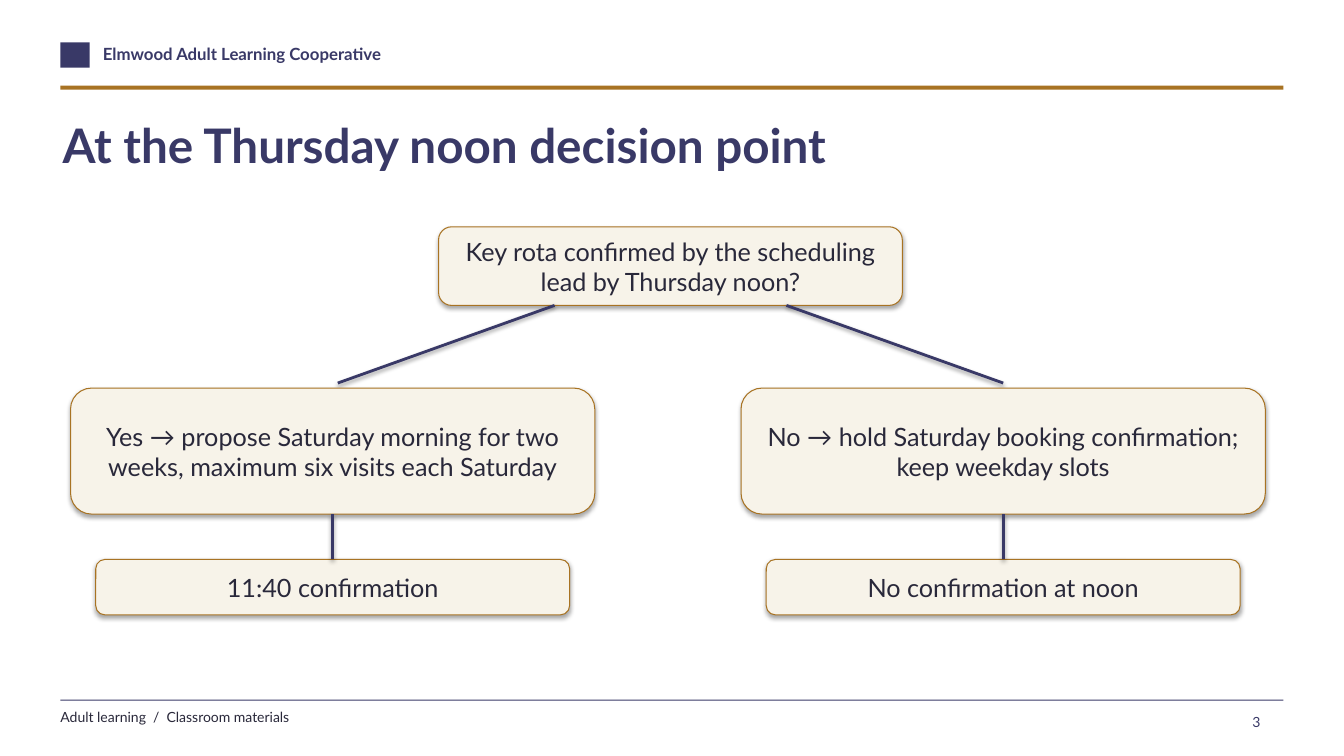
from pptx import Presentation
from pptx.dml.color import RGBColor
from pptx.enum.shapes import MSO_CONNECTOR, MSO_SHAPE
from pptx.enum.text import MSO_ANCHOR, MSO_AUTO_SIZE, PP_ALIGN
from pptx.util import Pt

RECT, ROUNDED = MSO_SHAPE.RECTANGLE, MSO_SHAPE.ROUNDED_RECTANGLE
STRAIGHT = MSO_CONNECTOR.STRAIGHT
LEFT, CENTER, RIGHT = PP_ALIGN.LEFT, PP_ALIGN.CENTER, PP_ALIGN.RIGHT
TOP, MIDDLE = MSO_ANCHOR.TOP, MSO_ANCHOR.MIDDLE
TOP_SIDE, BOTTOM_SIDE = 0, 2

TITLE = "At the Thursday noon decision point"
ORGANISATION = "Elmwood Adult Learning Cooperative"
FOOTER = "Adult learning  /  Classroom materials"
PAGE_NUMBER = "3"
QUESTION = "Key rota confirmed by the scheduling lead by Thursday noon?"
# centre x, answer, outcome
BRANCHES = [
    (330, "Yes → propose Saturday morning for two weeks, maximum six visits each Saturday",
     "11:40 confirmation"),
    (995, "No → hold Saturday booking confirmation; keep weekday slots",
     "No confirmation at noon"),
]

FONT = "Lato"
NAVY, OCHRE, CREAM, INK = "393967", "A87323", "F7F3E9", "29283A"

EMU_PER_PX = 9144  # 100 px to the inch
MARGIN, RULE_WIDTH = 60, 1213
QUESTION_X, QUESTION_TOP, QUESTION_SIZE = 665, 225, (460, 78)
ANSWER_TOP, ANSWER_SIZE = 385, (520, 125)
OUTCOME_TOP, OUTCOME_SIZE = 555, (470, 55)
FORK_START, FORK_END, FORK_BOTTOM = 115, 330, 380


def px(*lengths):
    return [length * EMU_PER_PX for length in lengths]


def color(code):
    return RGBColor.from_string(code)


def write(shape, text, *, size, ink=INK, bold=False, align=LEFT, anchor=TOP, insets=(0, 0)):
    """Fill a shape with one paragraph; insets are horizontal and vertical px."""
    frame = shape.text_frame
    frame.word_wrap = True
    frame.auto_size = MSO_AUTO_SIZE.NONE
    frame.vertical_anchor = anchor
    frame.margin_left = frame.margin_right = insets[0] * EMU_PER_PX
    frame.margin_top = frame.margin_bottom = insets[1] * EMU_PER_PX
    frame.text = text
    paragraph = frame.paragraphs[0]
    paragraph.alignment = align
    font = paragraph.runs[0].font
    font.name, font.size, font.bold = FONT, Pt(size), bold
    font.color.rgb = color(ink)


def add_label(slide, bounds, text, **style):
    write(slide.shapes.add_textbox(*px(*bounds)), text, **style)


def add_bar(slide, bounds, fill):
    bar = slide.shapes.add_shape(RECT, *px(*bounds))
    bar.shadow.inherit = False
    bar.fill.solid()
    bar.fill.fore_color.rgb = color(fill)
    bar.line.fill.background()


def add_box(slide, center_x, top, box_size, text):
    """Add a flowchart box, which keeps the soft shadow of the theme."""
    width, height = box_size
    box = slide.shapes.add_shape(ROUNDED, *px(center_x - width // 2, top, width, height))
    box.fill.solid()
    box.fill.fore_color.rgb = color(CREAM)
    box.line.color.rgb = color(OCHRE)
    box.line.width = Pt(0.75)
    write(box, text, size=18, align=CENTER, anchor=MIDDLE, insets=(10, 5))
    return box


def add_link(slide, *ends):
    """Add a flowchart line, which keeps the soft shadow of the theme."""
    link = slide.shapes.add_connector(STRAIGHT, *px(*ends))
    link.line.color.rgb = color(NAVY)
    link.line.width = Pt(2)
    return link


def add_frame(slide):
    add_bar(slide, (MARGIN, 42, 29, 25), NAVY)
    add_label(slide, (102, 43, 600, 28), ORGANISATION, size=12, ink=NAVY, bold=True)
    add_bar(slide, (MARGIN, 85, RULE_WIDTH, 4), OCHRE)
    add_bar(slide, (MARGIN, 694, RULE_WIDTH, 1), NAVY)
    add_label(slide, (MARGIN, 703, 700, 23), FOOTER, size=10)
    add_label(slide, (1200, 703, 60, 25), PAGE_NUMBER, size=10, ink=NAVY,
              align=RIGHT, insets=(10, 5))


def add_title(slide):
    title = slide.shapes.title
    title.left, title.top, title.width, title.height = px(62, 115, 1200, 105)
    write(title, TITLE, size=34, ink=NAVY, bold=True)


def add_decision_tree(slide):
    add_box(slide, QUESTION_X, QUESTION_TOP, QUESTION_SIZE, QUESTION)
    question_bottom = QUESTION_TOP + QUESTION_SIZE[1]
    answer_bottom = ANSWER_TOP + ANSWER_SIZE[1]
    for side, (center_x, answer_text, outcome_text) in zip((-1, 1), BRANCHES):
        add_link(slide, QUESTION_X + side * FORK_START, question_bottom,
                 QUESTION_X + side * FORK_END, FORK_BOTTOM)
        answer = add_box(slide, center_x, ANSWER_TOP, ANSWER_SIZE, answer_text)
        outcome = add_box(slide, center_x, OUTCOME_TOP, OUTCOME_SIZE, outcome_text)
        stem = add_link(slide, center_x, OUTCOME_TOP, center_x, answer_bottom)
        stem.begin_connect(outcome, TOP_SIDE)
        stem.end_connect(answer, BOTTOM_SIDE)


def main():
    deck = Presentation()
    deck.slide_width, deck.slide_height = px(1333, 750)
    slide = deck.slides.add_slide(deck.slide_layouts.get_by_name("Title Only"))
    add_frame(slide)
    add_title(slide)
    add_decision_tree(slide)
    deck.save("out.pptx")


if __name__ == "__main__":
    main()
